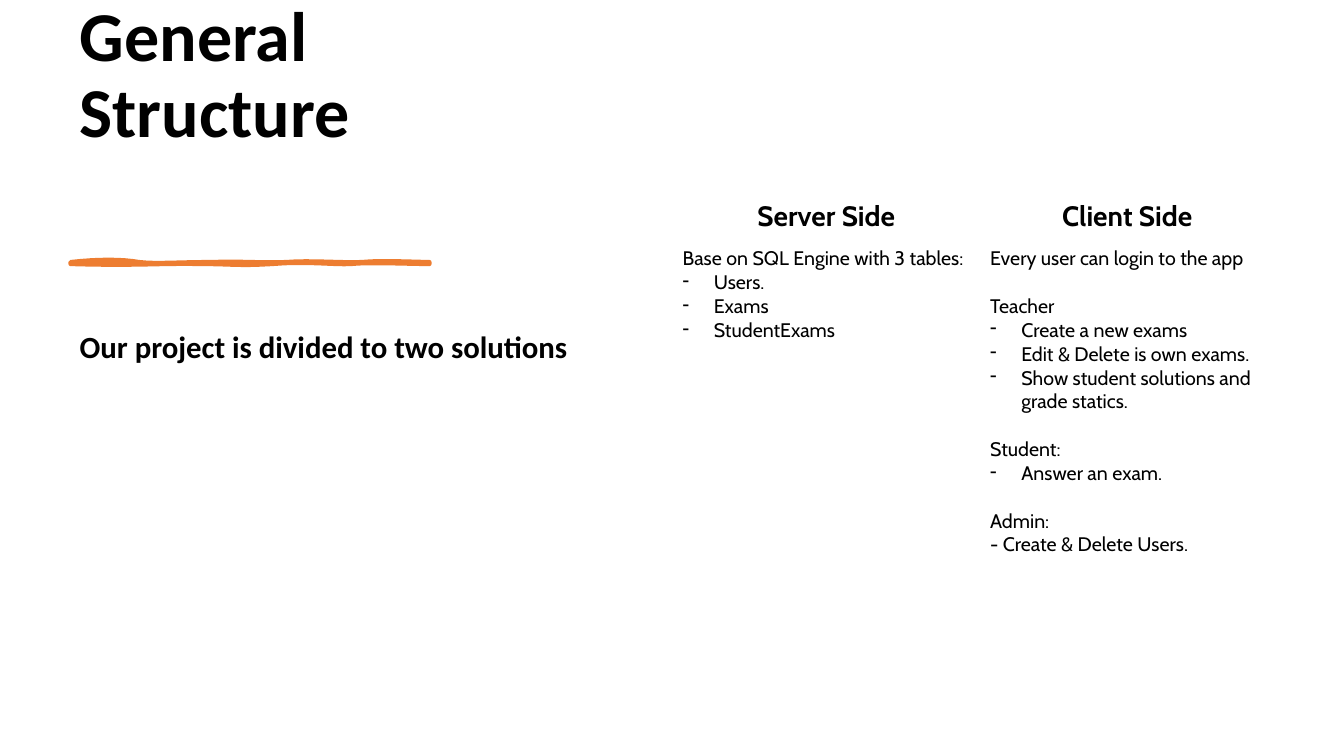
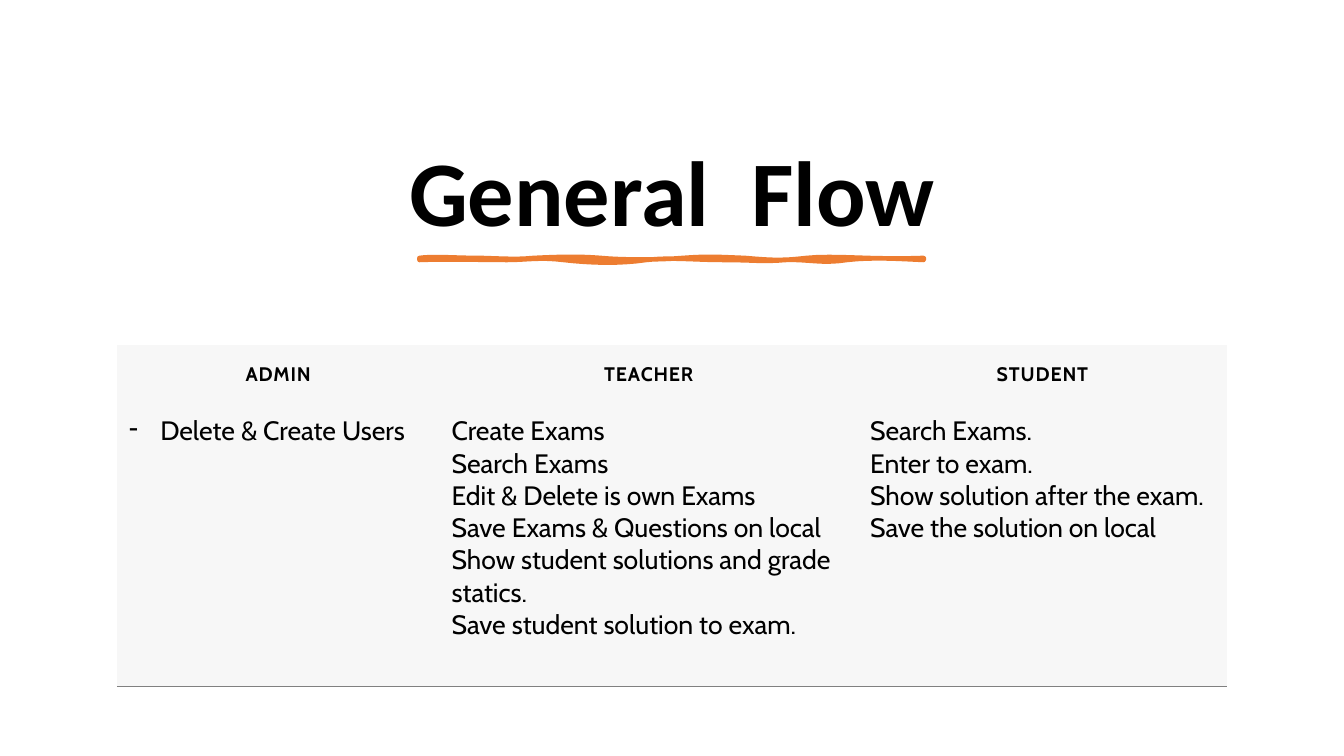
from dataclasses import dataclass

from lxml import etree
from pptx import Presentation
from pptx import util as u
from pptx.dml.color import RGBColor
from pptx.enum import text
from pptx.oxml.ns import qn

PX = 9144
NO_STYLE = "{2D5ABB26-0587-4C30-8999-92F81FD0307C}"


@dataclass(frozen=True)
class Theme:
    ink: str = "000000"
    accent: str = "ED7D31"
    panel: str = "F7F7F7"
    rule: str = "808080"
    heading_font: str = "Calibri"
    table_font: str = "Cabin"
    title_size: int = 50
    wide_title_size: int = 66
    lead_size: int = 22
    column_head_size: int = 20
    list_size: int = 14
    flow_size: int = 19


@dataclass(frozen=True)
class Line:
    text: str
    bullet: bool = False
    space_before: int = 0


THEME = Theme()


def px(value):
    return u.Emu(round(value * PX))


def color(value):
    return RGBColor.from_string(value)


def write_text(paragraph, words, *, size, font, bold=False, align=text.PP_ALIGN.LEFT,
               bullet=False, spacing=None, before=0, after=0, tracking=0):
    paragraph.alignment = align
    paragraph.space_before = u.Pt(before)
    paragraph.space_after = u.Pt(after)
    if spacing:
        paragraph.line_spacing = spacing
    properties = paragraph._p.get_or_add_pPr()
    indent = px(31) if bullet else 0
    properties.set("marL", str(indent))
    properties.set("indent", str(-indent))
    if bullet:
        etree.SubElement(properties, qn("a:buChar")).set("char", "-")
    else:
        etree.SubElement(properties, qn("a:buNone"))
    run = paragraph.add_run()
    run.text = words
    run.font.size = u.Pt(size)
    run.font.name = font
    run.font.bold = bold
    run.font.color.rgb = color(THEME.ink)
    if tracking:
        run._r.get_or_add_rPr().set("spc", str(round(tracking * 100)))


def set_insets(target, left, top, right, bottom):
    target.margin_left = px(left)
    target.margin_top = px(top)
    target.margin_right = px(right)
    target.margin_bottom = px(bottom)


def curve_points(start, curve, steps=8):
    x1, y1, x2, y2, x3, y3 = curve
    for step in range(1, steps + 1):
        t = step / steps
        weights = ((1 - t) ** 3, 3 * t * (1 - t) ** 2, 3 * t * t * (1 - t), t ** 3)
        yield tuple(sum(weight * value for weight, value in zip(weights, values))
                    for values in ((start[0], x1, x2, x3), (start[1], y1, y2, y3)))


class Deck:
    def __init__(self, theme):
        self.theme = theme
        self.presentation = Presentation()
        self.presentation.slide_width = px(1333)
        self.presentation.slide_height = px(750)
        self.slide = None

    def new_slide(self, layout_name):
        layout = self.presentation.slide_layouts.get_by_name(layout_name)
        self.slide = self.presentation.slides.add_slide(layout)

    def fill_placeholder(self, shape, box, words, insets, anchor, **style):
        shape.left, shape.top, shape.width, shape.height = map(px, box)
        frame = shape.text_frame
        frame.word_wrap = True
        frame.auto_size = text.MSO_AUTO_SIZE.NONE
        frame.vertical_anchor = anchor
        set_insets(frame, *insets)
        write_text(frame.paragraphs[0], words, font=self.theme.heading_font,
                   bold=True, spacing=0.9, **style)

    def title(self, words, box, insets=(10, 5, 10, 5), **style):
        self.fill_placeholder(self.slide.shapes.title, box, words, insets,
                              text.MSO_ANCHOR.BOTTOM, **style)

    def body(self, words, box, insets=(10, 5, 10, 5), **style):
        self.fill_placeholder(self.slide.placeholders[1], box, words, insets,
                              text.MSO_ANCHOR.TOP, **style)

    def brush_line(self, start, curves, weight):
        points = [start]
        for curve in curves:
            points.extend(curve_points(points[-1], curve))
        points = [(px(x), px(y)) for x, y in points]
        builder = self.slide.shapes.build_freeform(*points[0], scale=1.0)
        builder.add_line_segments(points[1:], close=True)
        shape = builder.convert_to_shape()
        shape.shadow.inherit = False
        shape.fill.solid()
        shape.fill.fore_color.rgb = color(self.theme.accent)
        shape.line.color.rgb = color(self.theme.accent)
        shape.line.width = u.Pt(weight)
        outline = shape._element.spPr.find(qn("a:ln"))
        etree.SubElement(outline, qn("a:round"))

    def table(self, origin, widths, heights, headings, columns, head_style, list_style,
              head_insets=(10, 5, 10, 5), list_insets=(10, 5, 10, 5), panel=False):
        frame = self.slide.shapes.add_table(2, len(widths), *map(px, origin),
                                            px(sum(widths)), px(sum(heights)))
        table = frame.table
        table.first_row = table.horz_banding = False
        table._tbl.tblPr.find(qn("a:tableStyleId")).text = NO_STYLE
        for row, height in zip(table.rows, heights):
            row.height = px(height)
        for index, width in enumerate(widths):
            table.columns[index].width = px(width)
            head, content = table.cell(0, index), table.cell(1, index)
            self.fill_cell(head, [Line(headings[index])], head_insets, panel, bold=True,
                           align=text.PP_ALIGN.CENTER, **head_style)
            self.fill_cell(content, columns[index], list_insets, panel, **list_style)
            if panel:
                self.bottom_rule(content)

    def fill_cell(self, cell, lines, insets, panel, **style):
        set_insets(cell, *insets)
        if panel:
            cell.fill.solid()
            cell.fill.fore_color.rgb = color(self.theme.panel)
        else:
            cell.fill.background()
        frame = cell.text_frame
        for index, line in enumerate(lines):
            paragraph = frame.add_paragraph() if index else frame.paragraphs[0]
            write_text(paragraph, line.text, font=self.theme.table_font,
                       bullet=line.bullet, before=line.space_before, **style)

    def bottom_rule(self, cell):
        border = etree.Element(qn("a:lnB"), w=str(u.Pt(1)))
        fill = etree.SubElement(border, qn("a:solidFill"))
        etree.SubElement(fill, qn("a:srgbClr")).set("val", self.theme.rule)
        cell._tc.get_or_add_tcPr().insert(0, border)


def structure_slide(deck):
    deck.new_slide("Title and Content")
    deck.title("General Structure", (69, 70, 527, 162), insets=(10, 5, 10, 81),
               size=THEME.title_size)
    deck.brush_line((70, 260), [
        (97, 257, 121, 257, 138, 260), (155, 262, 177, 260, 209, 260),
        (241, 259, 260, 261, 284, 260), (308, 258, 339, 261, 359, 260),
        (379, 258, 412, 260, 426, 260), (426, 260, 426, 261, 426, 262),
        (408, 262, 364, 260, 348, 262), (332, 263, 304, 259, 270, 262),
        (235, 264, 231, 262, 199, 262), (166, 261, 132, 264, 70, 262)], weight=3)
    deck.body("Our project is divided to two solutions", (69, 291, 527, 388),
              insets=(10, 38, 10, 5), size=THEME.lead_size, after=6)
    server = [Line("Base on SQL Engine with 3 tables:"), Line("Users.", True),
              Line("Exams", True), Line("StudentExams", True)]
    client = [Line("Every user can login to the app"),
              Line("Teacher", space_before=17),
              Line("Create a new exams", True),
              Line("Edit & Delete is own exams.", True),
              Line("Show student solutions and grade statics.", True),
              Line("Student:", space_before=17),
              Line("Answer an exam.", True),
              Line("Admin:", space_before=17),
              Line("- Create & Delete Users.")]
    deck.table((667, 193), (305, 292), (47, 317), ("Server Side", "Client Side"),
               (server, client), {"size": THEME.column_head_size},
               {"size": THEME.list_size})


def flow_slide(deck):
    deck.new_slide("Title Only")
    deck.title("General  Flow", (70, 50, 1193, 200), size=THEME.wide_title_size,
               align=text.PP_ALIGN.CENTER)
    deck.brush_line((416, 256), [
        (428, 254, 454, 256, 473, 256), (492, 256, 509, 258, 529, 256),
        (549, 255, 574, 254, 596, 256), (617, 258, 653, 258, 677, 256),
        (702, 254, 714, 255, 739, 256), (763, 258, 774, 259, 800, 256),
        (826, 253, 867, 258, 916, 256), (917, 257, 916, 257, 916, 258),
        (895, 257, 865, 255, 840, 258), (815, 262, 801, 257, 779, 258),
        (756, 260, 747, 258, 717, 258), (687, 258, 667, 255, 641, 258),
        (614, 262, 585, 261, 559, 258), (534, 255, 523, 258, 503, 258),
        (483, 258, 438, 257, 416, 258)], weight=3.25)
    admin = [Line("Delete & Create Users", True)]
    teacher = [Line(words) for words in (
        "Create Exams", "Search Exams", "Edit & Delete is own Exams",
        "Save Exams & Questions on local",
        "Show student solutions and grade statics.",
        "Save student solution to exam.")]
    student = [Line(words) for words in (
        "Search Exams.", "Enter to exam.", "Show solution after the exam.",
        "Save the solution on local")]
    deck.table((116, 342), (320, 415, 366), (64, 275), ("ADMIN", "TEACHER", "STUDENT"),
               (admin, teacher, student), {"size": THEME.list_size, "tracking": 0.6},
               {"size": THEME.flow_size}, head_insets=(18, 18, 18, 18),
               list_insets=(12, 6, 12, 12), panel=True)


def main():
    deck = Deck(THEME)
    structure_slide(deck)
    flow_slide(deck)
    deck.presentation.save("out.pptx")


if __name__ == "__main__":
    main()
